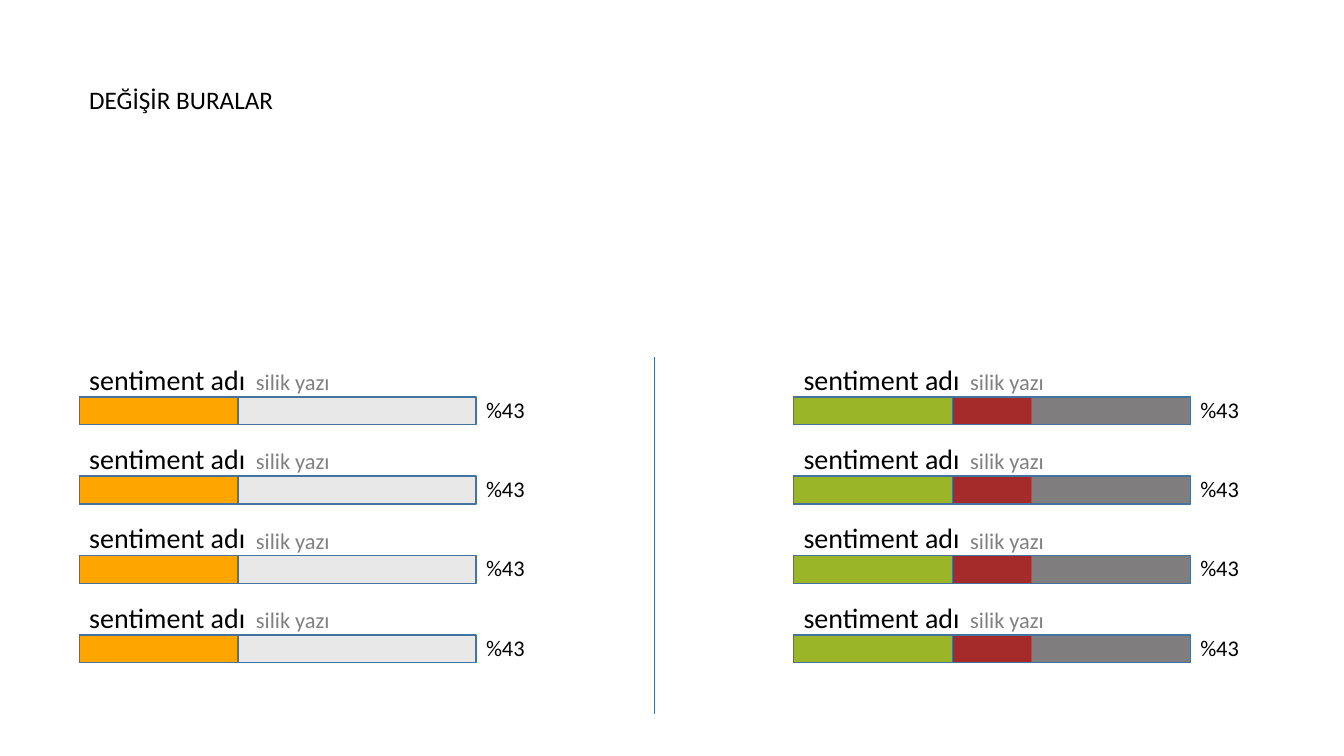
from pptx import Presentation
from pptx.dml.color import RGBColor
from pptx.enum.shapes import MSO_CONNECTOR, MSO_SHAPE
from pptx.enum.text import MSO_AUTO_SIZE
from pptx.oxml.ns import qn
from pptx.util import Pt
from lxml.etree import SubElement

PX = 3600  # EMU in one px, 100 px to the centimetre
FONT = "Calibri"
BLACK = RGBColor(0x00, 0x00, 0x00)
MUTED = RGBColor(0x80, 0x80, 0x80)
EDGE = RGBColor(0x43, 0x73, 0x9E)
PALE = RGBColor(0xE8, 0xE8, 0xE8)
ORANGE = RGBColor(0xFF, 0xA5, 0x00)
GREEN = RGBColor(0x9B, 0xB5, 0x28)
RED = RGBColor(0xA5, 0x2A, 0x2A)
GREY = RGBColor(0x80, 0x7D, 0x7E)

ROWS = 4
STEP = 200


def scale(*sizes):
    return [size * PX for size in sizes]


def add_text(slide, box, text, size, color=BLACK):
    frame = slide.shapes.add_textbox(*scale(*box)).text_frame
    frame.word_wrap = True
    frame.auto_size = MSO_AUTO_SIZE.SHAPE_TO_FIT_TEXT
    frame.text = text
    font = frame.paragraphs[0].runs[0].font
    font.name = FONT
    font.size = Pt(size)
    font.color.rgb = color


def add_bar(slide, box, fill):
    bar = slide.shapes.add_shape(MSO_SHAPE.RECTANGLE, *scale(*box))
    bar.shadow.inherit = False
    bar.fill.solid()
    bar.fill.fore_color.rgb = fill
    bar.line.color.rgb = EDGE
    bar.line.width = Pt(1)


def add_row(slide, left, top, back, parts, high):
    """One sentiment: full bar, captions, share, then the filled parts."""
    add_bar(slide, (left, top + 100, 1000, 70), back)
    add_text(slide, (left, top, 470, 70), "sentiment adı", 20)
    add_text(slide, (left + 420, top + 15, 300, 100), "silik yazı", 16, MUTED)
    add_text(slide, (left + 1000, top + 85, 250, high), "%43", 16)
    start = left
    for width, fill in parts:
        add_bar(slide, (start, top + 100, width, 70), fill)
        start += width


def add_column(slide, left, top, back, parts, high):
    for row in range(ROWS):
        add_row(slide, left, top + row * STEP, back, parts, high)


def add_divider(slide, left, top, height):
    line = slide.shapes.add_connector(
        MSO_CONNECTOR.STRAIGHT, *scale(left, top, left, top + height))
    line.line.color.rgb = EDGE
    line.line.width = Pt(1)
    SubElement(line._element.spPr, qn("a:effectLst"))


def main():
    deck = Presentation()
    deck.slide_width, deck.slide_height = scale(3387, 1905)
    slide = deck.slides.add_slide(deck.slide_layouts[6])

    # Heading
    add_text(slide, (200, 200, 1000, 300), "DEĞİŞİR BURALAR", 18)

    # Two columns of bars with a divider between them
    add_column(slide, 200, 900, PALE, [(400, ORANGE)], 50)
    add_divider(slide, 1650, 900, 900)
    add_column(slide, 2000, 900, GREY, [(400, GREEN), (200, RED)], 100)

    deck.save("out.pptx")


if __name__ == "__main__":
    main()
